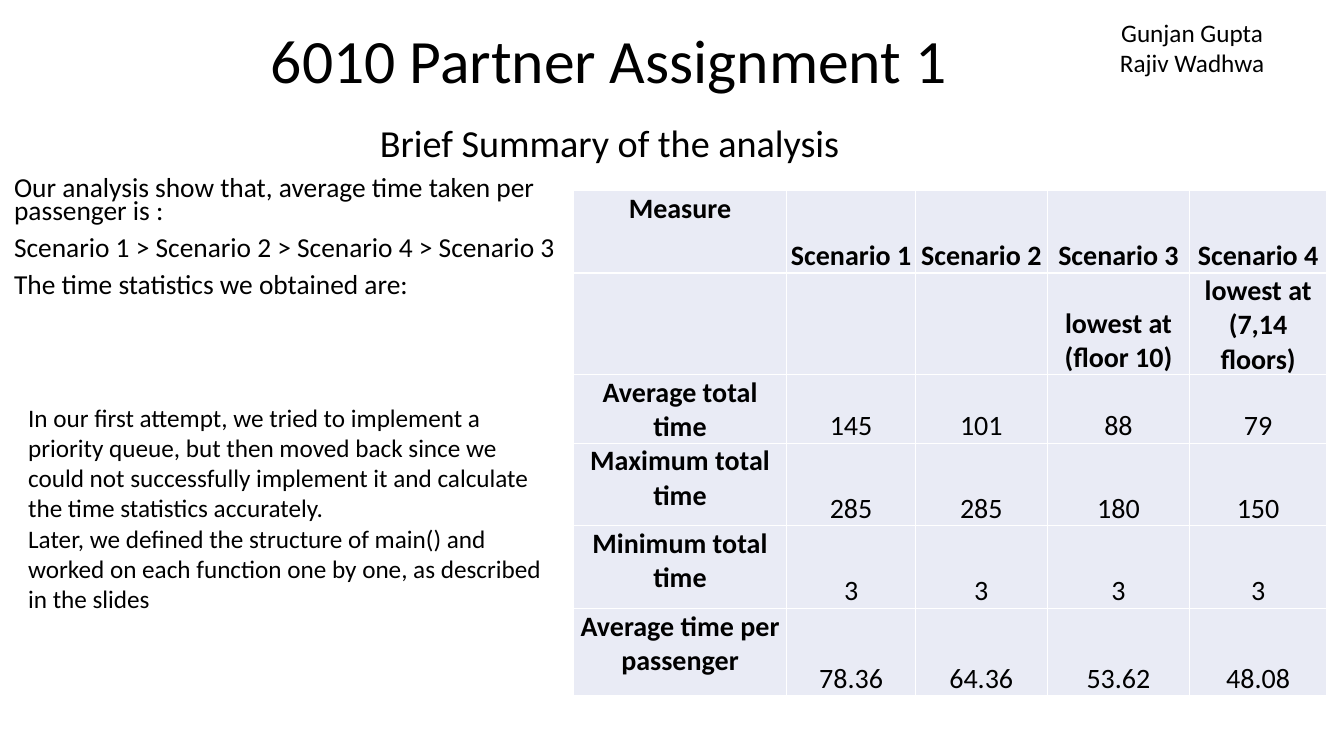
"""Build the assignment summary slide."""
from dataclasses import dataclass

from lxml import etree
from pptx import Presentation
from pptx.dml.color import RGBColor
from pptx.enum.text import MSO_ANCHOR, PP_ALIGN
from pptx.oxml.ns import qn
from pptx.util import Pt

LEFT, CENTER = PP_ALIGN.LEFT, PP_ALIGN.CENTER
TOP, MIDDLE, BOTTOM = MSO_ANCHOR.TOP, MSO_ANCHOR.MIDDLE, MSO_ANCHOR.BOTTOM
TITLE_ONLY = 5


@dataclass(frozen=True)
class Theme:
    """Hold the colours, font and type sizes of the slide."""
    font: str = "Calibri"
    ink: str = "000000"
    cell: str = "E9EBF5"
    border: str = "FFFFFF"
    title: float = 44
    subtitle: float = 27.3
    table: float = 20
    findings: float = 19.6
    note: float = 18


THEME = Theme()
COLUMNS = [152.5, 92, 94, 102, 97.5]
ROWS = [59, 70.5, 47.5, 59, 59, 62.5]
RESULTS = [
    ["Measure", "Scenario 1", "Scenario 2", "Scenario 3", "Scenario 4"],
    ["", "", "", "lowest at (floor 10)", "lowest at (7,14 floors)"],
    ["Average total time", "145", "101", "88", "79"],
    ["Maximum total time", "285", "285", "180", "150"],
    ["Minimum total time", "3", "3", "3", "3"],
    ["Average time per passenger", "78.36", "64.36", "53.62", "48.08"],
]
FINDINGS = [
    "Our analysis show that, average time taken per passenger is :",
    "Scenario 1 > Scenario 2 > Scenario 4 > Scenario 3",
    "The time statistics we obtained are:",
]
APPROACH = [
    "In our first attempt, we tried to implement a priority queue, but then "
    "moved back since we could not successfully implement it and calculate "
    "the time statistics accurately.",
    "Later, we defined the structure of main() and worked on each function "
    "one by one, as described in the slides",
]
AUTHORS = ["Gunjan Gupta", "Rajiv Wadhwa"]


def write(tf, lines, size, align=LEFT, spacing=1.0, before=0, bold=False):
    """Fill a text frame with one paragraph per line."""
    for i, line in enumerate(lines):
        p = tf.add_paragraph() if i else tf.paragraphs[0]
        p.alignment, p.line_spacing, p.space_before = align, spacing, Pt(before)
        r = p.add_run()
        r.text = line
        r.font.name, r.font.size, r.font.bold = THEME.font, Pt(size), bold
        r.font.color.rgb = RGBColor.from_string(THEME.ink)


def add_title(s, box, text):
    """Place and format the title placeholder."""
    sp = s.shapes.title
    sp.left, sp.top, sp.width, sp.height = map(Pt, box)
    sp.text_frame.vertical_anchor = MIDDLE
    write(sp.text_frame, [text], THEME.title, CENTER, 0.9)


def add_text(s, box, lines, size, anchor=TOP, **style):
    """Add a wrapping text box."""
    tf = s.shapes.add_textbox(*map(Pt, box)).text_frame
    tf.word_wrap, tf.vertical_anchor = True, anchor
    write(tf, lines, size, **style)


def add_borders(cell):
    """Draw a thin line on each side of a cell."""
    tc_pr = cell._tc.get_or_add_tcPr()
    for side in ("a:lnL", "a:lnR", "a:lnT", "a:lnB"):
        ln = etree.SubElement(tc_pr, qn(side), w=str(Pt(1)))
        fill = etree.SubElement(ln, qn("a:solidFill"))
        etree.SubElement(fill, qn("a:srgbClr"), val=THEME.border)


def format_cell(cell, text, bold, anchor):
    """Set the text, margins, borders and fill of a cell."""
    cell.margin_left = cell.margin_right = cell.margin_top = Pt(0.75)
    cell.margin_bottom = Pt(0)
    cell.vertical_anchor = anchor
    add_borders(cell)
    cell.fill.solid()
    cell.fill.fore_color.rgb = RGBColor.from_string(THEME.cell)
    if text:
        write(cell.text_frame, [text], THEME.table, CENTER, bold=bold)


def add_results(s, left, top):
    """Add the table of time statistics."""
    table = s.shapes.add_table(len(ROWS), len(COLUMNS), Pt(left), Pt(top),
                               Pt(sum(COLUMNS)), Pt(sum(ROWS))).table
    table.first_row = table.horz_banding = False
    for column, width in zip(table.columns, COLUMNS):
        column.width = Pt(width)
    for i, (row, height) in enumerate(zip(table.rows, ROWS)):
        row.height = Pt(height)
        for j, text in enumerate(RESULTS[i]):
            format_cell(table.cell(i, j), text, bold=i < 2 or j == 0,
                        anchor=BOTTOM if j else TOP)


def main():
    """Build and save the slide."""
    prs = Presentation()
    prs.slide_width, prs.slide_height = Pt(960), Pt(540)
    s = prs.slides.add_slide(prs.slide_layouts[TITLE_ONLY])
    add_title(s, (0, -1.5, 870.5, 93.5), "6010 Partner Assignment 1")
    add_text(s, (3, 124.5, 412, 139.5), FINDINGS, THEME.findings,
             spacing=0.7, before=10)
    add_text(s, (182, 75, 507, 57), ["Brief Summary of the analysis"],
             THEME.subtitle, MIDDLE, align=CENTER, spacing=0.9)
    add_results(s, 409.5, 136)
    add_text(s, (13, 283.5, 391.5, 181.5), APPROACH, THEME.note)
    add_text(s, (756, 8.5, 191, 51), AUTHORS, THEME.note, align=CENTER)
    prs.save("out.pptx")


main()
